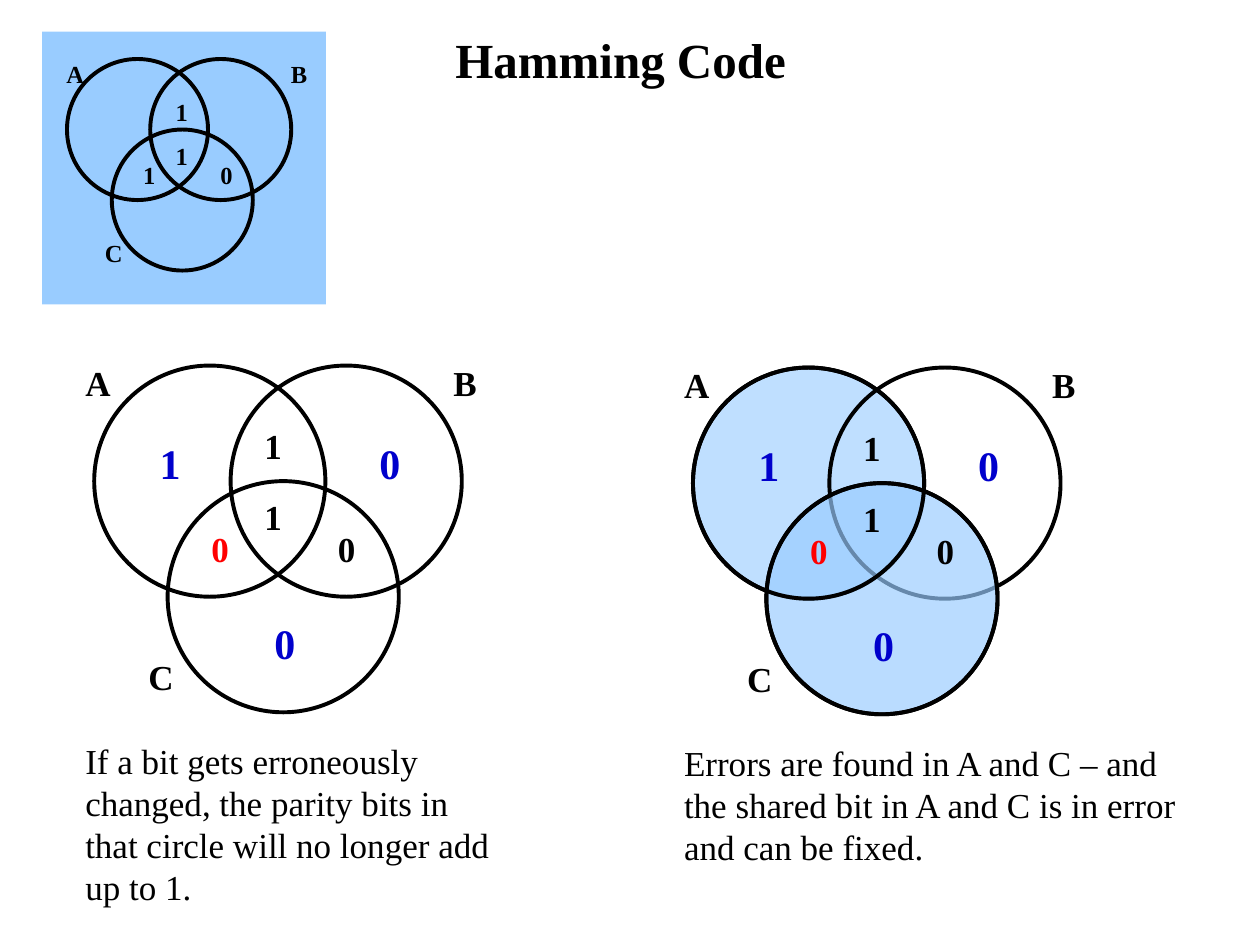
from lxml.etree import SubElement
from pptx import Presentation
from pptx.dml.color import RGBColor
from pptx.enum.shapes import MSO_SHAPE
from pptx.enum.text import MSO_ANCHOR, MSO_AUTO_SIZE, PP_ALIGN
from pptx.oxml.ns import qn
from pptx.util import Cm, Pt

COLORS = {"ink": "000000", "panel": "99CCFF", "parity": "0000CC", "error": "FF0000"}

# Places in a full-size diagram, in cm from the corner of circle A
DIAMETER = 4.66
CIRCLES = {"A": (0, 0), "B": (2.75, 0), "C": (1.48, 2.33)}
NAMES = {"A": (-0.43, -0.21, 0.84), "B": (6.99, -0.21, 1.27), "C": (0.84, 5.72, 1.27)}
DATA = {"AB": (3.18, 1.06), "ABC": (3.18, 2.5), "AC": (2.11, 3.14), "BC": (4.66, 3.14)}
PARITY = {"A": (1.07, 1.32), "B": (5.5, 1.32), "C": (3.38, 4.95)}
CAPTION = (-0.43, 7.41)


class SlideBuilder:
    font = "Times New Roman"

    def __init__(self, page):
        self.page = page
        self.canvas = page.shapes

    def color(self, name):
        return RGBColor.from_string(COLORS[name])

    def fill_text(self, frame, text, size, color="ink", bold=True, align=PP_ALIGN.LEFT):
        frame.word_wrap = True
        para = frame.paragraphs[0]
        para.alignment = align
        span = para.add_run()
        span.text = text
        formats = {"name": self.font, "size": Pt(size), "bold": bold}
        for key, value in formats.items():
            setattr(span.font, key, value)
        span.font.color.rgb = self.color(color)

    def title(self, text, left, top, width, height):
        box = self.page.shapes.title
        places = {"left": left, "top": top, "width": width, "height": height}
        for key, value in places.items():
            setattr(box, key, Cm(value))
        box.text_frame.vertical_anchor = MSO_ANCHOR.BOTTOM
        box.text_frame.auto_size = MSO_AUTO_SIZE.NONE
        self.fill_text(box.text_frame, text, 28, align=PP_ALIGN.CENTER)

    def text(self, text, left, top, width, height, size, **style):
        box = self.canvas.add_textbox(Cm(left), Cm(top), Cm(width), Cm(height))
        self.fill_text(box.text_frame, text, size, **style)
        box.text_frame.auto_size = MSO_AUTO_SIZE.SHAPE_TO_FIT_TEXT

    def shape(self, kind, left, top, width, height, fill=None, opacity=100, line=True):
        shape = self.canvas.add_shape(kind, Cm(left), Cm(top), Cm(width), Cm(height))
        shape.shadow.inherit = False
        if fill:
            shape.fill.solid()
            shape.fill.fore_color.rgb = self.color(fill)
            if opacity < 100:
                solid = shape.element.spPr.find(qn("a:solidFill"))
                SubElement(solid[0], qn("a:alpha")).set("val", str(opacity * 1000))
        else:
            shape.fill.background()
        if line:
            shape.line.color.rgb = self.color("ink")
            shape.line.width = Pt(2.25)
        else:
            shape.line.fill.background()

    def venn(self, left, top, data, scale=1, size=20, parity="", error=None, shaded=None):
        def place(x, y):
            return left + x * scale, top + y * scale

        def circle(name, **fill):
            side = DIAMETER * scale
            self.shape(MSO_SHAPE.OVAL, *place(*CIRCLES[name]), side, side, **fill)

        shaded = shaded or {}
        ratio = size / 20
        # Circles, with clear outlines again above the shaded ones
        for name in CIRCLES:
            if name in shaded:
                circle(name, fill="panel", opacity=shaded[name])
            else:
                circle(name)
        for name in shaded:
            circle(name)
        # Circle names, data bits and parity bits
        for name, (x, y, width) in NAMES.items():
            self.text(name, *place(x, y), width * ratio, 1.12 * ratio, size)
        for (region, spot), bit in zip(DATA.items(), data):
            color = "error" if region == error else "ink"
            self.text(bit, *place(*spot), 0.84 * ratio, 1.12 * ratio, size, color=color)
        for spot, bit in zip(PARITY.values(), parity):
            self.text(bit, *place(*spot), 0.84, 1.27, 24, color="parity")

    def small_venn(self, left, top, data):
        self.canvas = self.page.shapes.add_group_shape().shapes
        self.venn(left, top, data, scale=0.61, size=14)
        self.canvas = self.page.shapes

    def captioned_venn(self, left, top, caption, width, height, shaded=None):
        self.venn(left, top, "1100", parity="100", error="AC", shaded=shaded)
        x, y = CAPTION
        self.text(caption, left + x, top + y, width, height, 20, bold=False)


def main():
    deck = Presentation()
    deck.slide_width, deck.slide_height = Cm(25.4), Cm(19.05)
    builder = SlideBuilder(deck.slides.add_slide(deck.slide_layouts[5]))

    builder.title("Hamming Code", 1.12, 0.64, 22.78, 1.27)

    # Correct code word on its panel
    builder.shape(MSO_SHAPE.RECTANGLE, 0.85, 0.64, 5.72, 5.5, fill="panel", line=False)
    builder.small_venn(1.35, 1.19, "1110")

    # Changed bit, and how it is found
    builder.captioned_venn(
        1.9, 7.37,
        "If a bit gets erroneously changed, the parity bits in that circle "
        "will no longer add up to 1.", 8.69, 3.66)
    builder.captioned_venn(
        13.97, 7.41,
        "Errors are found in A and C – and the shared bit in A and C is in error "
        "and can be fixed.", 10.8, 2.79, shaded={"A": 62, "C": 67})

    deck.save("out.pptx")


if __name__ == "__main__":
    main()
